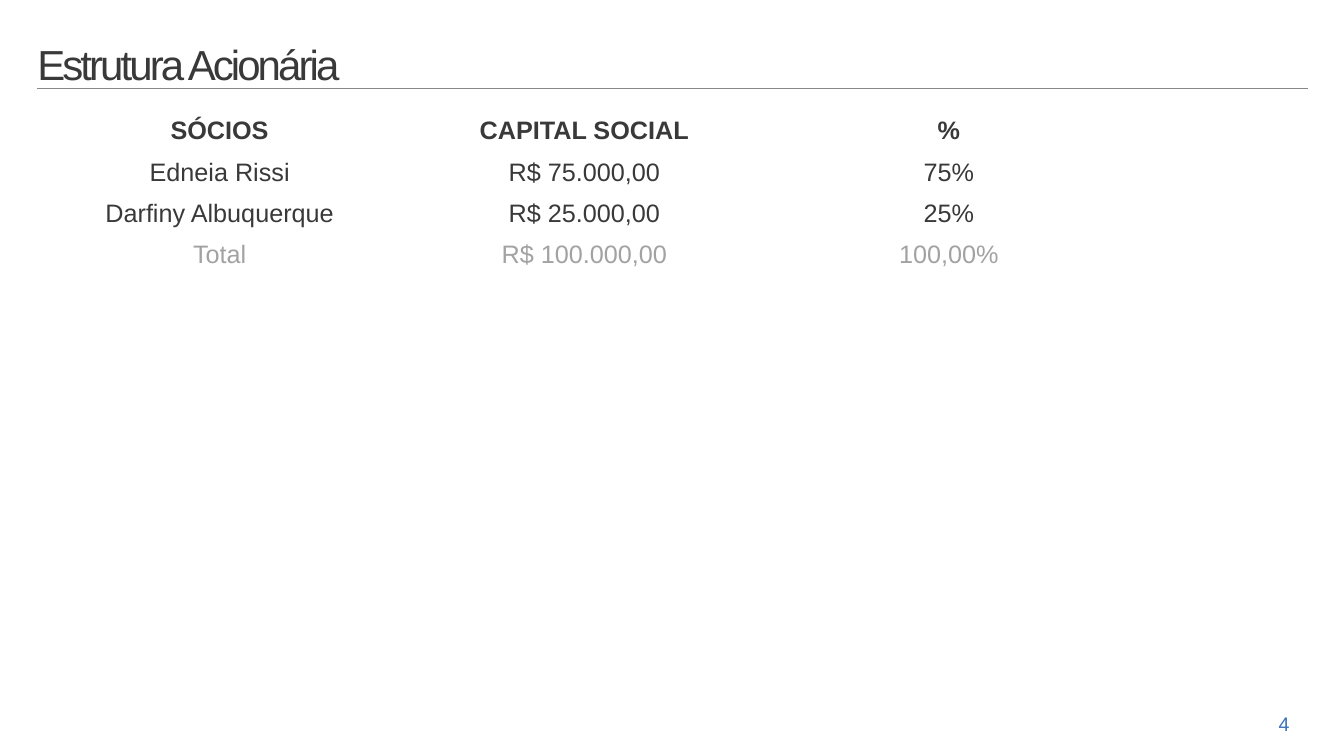
from lxml.etree import SubElement
from pptx import Presentation
from pptx.dml.color import RGBColor
from pptx.enum.shapes import MSO_CONNECTOR
from pptx.enum.text import MSO_ANCHOR, MSO_AUTO_SIZE, PP_ALIGN
from pptx.oxml.ns import qn
from pptx.util import Pt

PX = 9144
COLORS = {"ink": "393939", "total": "A2A2A2", "rule": "888888", "page": "3B72B8"}
ROWS = [
    ("SÓCIOS", "CAPITAL SOCIAL", "%"),
    ("Edneia Rissi", "R$ 75.000,00", "75%"),
    ("Darfiny Albuquerque", "R$ 25.000,00", "25%"),
    ("Total", "R$ 100.000,00", "100,00%"),
]


def emu(*sizes):
    """Turn px lengths into EMU."""
    return [size * PX for size in sizes]


def write(frame, text, size=18, color="ink", bold=False,
          align=PP_ALIGN.CENTER, space=None, track=None):
    """Put one formatted line of text in a frame."""
    par = frame.paragraphs[0]
    par.alignment = align
    if space:
        par.line_spacing = space
    run = par.add_run()
    run.text = text
    font = run.font
    font.name, font.size, font.bold = "Arial", Pt(size), bold
    font.color.rgb = RGBColor.from_string(COLORS[color])
    if track:
        run._r.get_or_add_rPr().set("spc", str(track))


def add_head(slide, left, top, width, height):
    """Place the title and the rule beneath it."""
    title = slide.shapes.title
    title.left, title.top, title.width, title.height = emu(left, top, 641, height)
    frame = title.text_frame
    frame.auto_size = MSO_AUTO_SIZE.NONE
    frame.word_wrap = True
    frame.vertical_anchor = MSO_ANCHOR.BOTTOM
    frame.margin_left = frame.margin_right = frame.margin_bottom = 0
    frame.margin_top = 7 * PX
    write(frame, "Estrutura Acionária", size=30, align=PP_ALIGN.LEFT,
          space=0.85, track=-210)
    base = top + height
    rule = slide.shapes.add_connector(
        MSO_CONNECTOR.STRAIGHT, *emu(left, base, left + width, base))
    rule.line.color.rgb = RGBColor.from_string(COLORS["rule"])
    rule.line.width = Pt(0.85)
    SubElement(rule._element.spPr, qn("a:effectLst"))


def add_shares(slide, left, top, width, height):
    """Place the table of partners and their shares."""
    table = slide.shapes.add_table(
        len(ROWS), len(ROWS[0]), *emu(left, top, width, height)).table
    table.first_row = table.horz_banding = False
    last = len(ROWS) - 1
    for row, texts in enumerate(ROWS):
        for col, text in enumerate(texts):
            cell = table.cell(row, col)
            cell.fill.background()
            write(cell.text_frame, text, bold=row == 0,
                  color="total" if row == last else "ink")


def add_page(slide, left, top, width, height):
    """Place the page number."""
    frame = slide.shapes.add_textbox(*emu(left, top, width, height)).text_frame
    frame.word_wrap = True
    write(frame, "4", size=14, color="page")


def main():
    """Build and save the slide."""
    deck = Presentation()
    deck.slide_width, deck.slide_height = emu(1333, 750)
    slide = deck.slides.add_slide(deck.slide_layouts[5])
    add_head(slide, 37, 12, 1260, 76)
    add_shares(slide, 37, 111, 1085, 164)
    add_page(slide, 1247, 701, 53, 34)
    deck.save("out.pptx")


if __name__ == "__main__":
    main()
